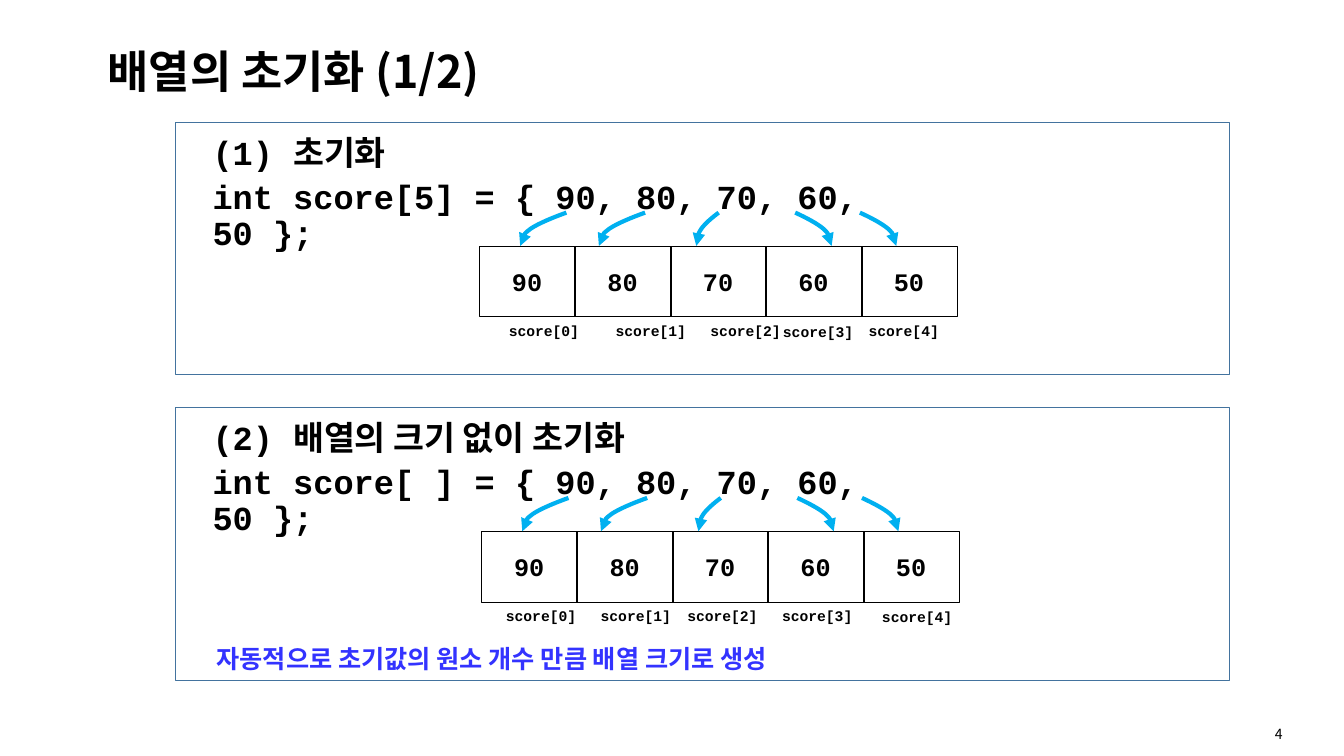
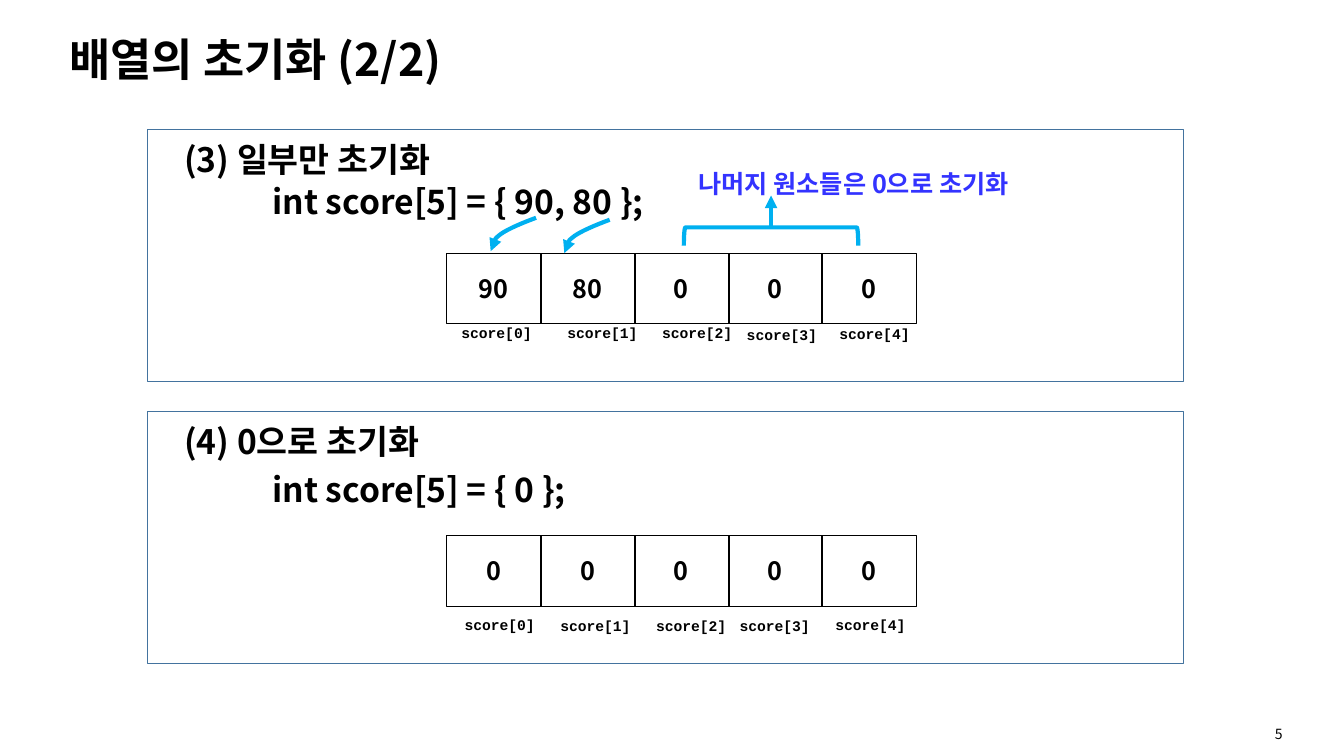
from lxml.etree import SubElement
from pptx import Presentation
from pptx.dml.color import RGBColor
from pptx.enum.shapes import MSO_CONNECTOR, MSO_SHAPE
from pptx.enum.text import MSO_ANCHOR, PP_ALIGN
from pptx.oxml.ns import qn
from pptx.util import Pt

BLACK, BLUE, CYAN, FRAME = "000000", "3333FF", "00B0F0", "43739E"
MONO, SANS, TITLE = "Courier New", "Noto Sans CJK KR", "Noto Sans CJK TC"

# Two Bezier segments of an arrow, as shares of its width and height
CURVE = [(0.3, 0.15), (0.61, 0.33), (0.77, 0.48),
         (0.94, 0.66), (0.97, 0.82), (1, 1)]
GRID_TOP, CELL_H = 88.6, 50.4
ARROW_H = 23.8

# Arrows: start x from the grid's left edge, width, start height above the grid
FIVE_ARROWS = [(62.6, -33, 23.8), (118.8, -33, 23.8), (171.4, -16, 23.8),
               (226, 26, 23.8), (272.2, 26, 23.8)]

# Panel offsets are relative to the panel, label offsets to the grid
SLIDES = [
    dict(number=4, title="배열의 초기화 (1/2)", title_at=(69.8, 27.4), font=MONO,
         left=125.3, width=752.4, code_x=19.4, step=68.2, cell_w=69, panels=[
             dict(top=87.1, height=180, head="(1) 초기화",
                  code="int score[5] = { 90, 80, 70, 60, 50 };", code_y=38.2,
                  grid_x=216.7, values=[90, 80, 70, 60, 50], arrows=FIVE_ARROWS,
                  label_x=[14.4, 90.7, 158.4, 210.2, 271.4],
                  label_y=[50.4, 50.4, 50.4, 51.1, 50.4]),
             dict(top=290.9, height=195.1, head="(2) 배열의 크기 없이 초기화",
                  code="int score[ ] = { 90, 80, 70, 60, 50 };", code_y=38.2,
                  grid_x=218.2, values=[90, 80, 70, 60, 50], arrows=FIVE_ARROWS,
                  label_x=[10.8, 78.5, 140.4, 208.1, 279.4],
                  label_y=[50.4, 50.4, 50.4, 50.4, 51.1],
                  note=("자동적으로 초기값의 원소 개수 만큼 배열 크기로 생성", 22.3, 167.8)),
         ]),
    dict(number=5, title="배열의 초기화 (2/2)", title_at=(42.5, 18.7), font=SANS,
         left=105.1, width=740.2, code_x=82.4, step=67, cell_w=67.7, panels=[
             dict(top=92.2, height=180, head="(3) 일부만 초기화",
                  code="int score[5] = { 90, 80 };", code_y=36.7,
                  grid_x=213.8, values=[90, 80, 0, 0, 0],
                  arrows=[(64, -32.4, 25.2), (116.6, -32.4, 23.8)],
                  label_x=[3.6, 79.2, 146.9, 207.4, 273.6],
                  label_y=[46.8, 46.8, 46.8, 48.2, 47.5],
                  note=("나머지 원소들은 0으로 초기화", 386.6, 26.6)),
             dict(top=293.8, height=180, head="(4) 0으로 초기화",
                  code="int score[5] = { 0 };", code_y=41,
                  grid_x=213.8, values=[0] * 5, arrows=[],
                  label_x=[5.8, 74.2, 142.6, 202.3, 270.7],
                  label_y=[54, 54.7, 54.7, 54.7, 54]),
         ]),
]


def write(sp, text, size, font, color=BLACK, bold=True, spacing=None,
          align=PP_ALIGN.LEFT, anchor=MSO_ANCHOR.TOP):
    tf = sp.text_frame
    tf.word_wrap = True
    tf.vertical_anchor = anchor
    tf.text = text
    p = tf.paragraphs[0]
    p.alignment = align
    p.line_spacing = spacing
    r = p.runs[0]
    r.font.size, r.font.name, r.font.bold = Pt(size), font, bold
    r.font.color.rgb = RGBColor.from_string(color)
    east_asian = SANS if font == MONO else font
    SubElement(r.font._element, qn("a:ea"), typeface=east_asian)


def outline(sp, color, width, arrow=False):
    sp.line.color.rgb = RGBColor.from_string(color)
    sp.line.width = Pt(width)
    if arrow:
        SubElement(sp.line._get_or_add_ln(), qn("a:tailEnd"), type="triangle")
    SubElement(sp.element.spPr, qn("a:effectLst"))


prs = Presentation()
prs.slide_width, prs.slide_height = Pt(960), Pt(540)

for page in SLIDES:
    s = prs.slides.add_slide(prs.slide_layouts[6])
    shapes = s.shapes
    left, font = page["left"], page["font"]

    # Title and page number
    x, y = page["title_at"]
    sp = shapes.add_textbox(Pt(x), Pt(y), Pt(620.6), Pt(51.1))
    write(sp, page["title"], 32, TITLE, spacing=0.9, anchor=MSO_ANCHOR.MIDDLE)
    sp = shapes.add_textbox(Pt(877), Pt(515.5), Pt(72.7), Pt(18))
    write(sp, str(page["number"]), 10, SANS, bold=False,
          align=PP_ALIGN.CENTER, anchor=MSO_ANCHOR.MIDDLE)

    for panel in page["panels"]:
        top = panel["top"]
        grid_x, grid_y = left + panel["grid_x"], top + GRID_TOP

        # Frame
        sp = shapes.add_shape(MSO_SHAPE.RECTANGLE, Pt(left), Pt(top),
                              Pt(page["width"]), Pt(panel["height"]))
        sp.fill.background()
        outline(sp, FRAME, 0.25)

        # Array cells with index labels
        for i, value in enumerate(panel["values"]):
            sp = shapes.add_shape(MSO_SHAPE.RECTANGLE,
                                  Pt(grid_x + i * page["step"]), Pt(grid_y),
                                  Pt(page["cell_w"]), Pt(CELL_H))
            sp.fill.background()
            outline(sp, BLACK, 0.25)
            write(sp, str(value), 18, font, align=PP_ALIGN.CENTER,
                  anchor=MSO_ANCHOR.MIDDLE)
            sp = shapes.add_textbox(Pt(grid_x + panel["label_x"][i]),
                                    Pt(grid_y + panel["label_y"][i]),
                                    Pt(66.2), Pt(20.2))
            write(sp, f"score[{i}]", 10.5, MONO)

        # Curved arrows from the initial values to the cells
        for dx, width, lift in panel["arrows"]:
            x, y = grid_x + dx, grid_y - lift
            builder = shapes.build_freeform(Pt(x), Pt(y))
            builder.add_line_segments(
                [(Pt(x + u * width), Pt(y + v * ARROW_H)) for u, v in CURVE],
                close=False)
            sp = builder.convert_to_shape()
            lines = list(sp.element.iter(qn("a:lnTo")))
            outline_xml = lines[0].getparent()
            for start in (0, 3):
                bezier = SubElement(outline_xml, qn("a:cubicBezTo"))
                for line in lines[start:start + 3]:
                    bezier.append(line[0])
                    outline_xml.remove(line)
            sp.fill.background()
            outline(sp, CYAN, 3, arrow=True)

        # Code line, heading and note
        sp = shapes.add_textbox(Pt(left + page["code_x"]),
                                Pt(top + panel["code_y"]), Pt(553), Pt(33.8))
        write(sp, panel["code"], 24, font, spacing=0.9)
        sp = shapes.add_textbox(Pt(left + 19.4), Pt(top + 6.5), Pt(400), Pt(33.8))
        write(sp, panel["head"], 24, font, spacing=0.9)
        if "note" in panel:
            text, dx, dy = panel["note"]
            sp = shapes.add_textbox(Pt(left + dx), Pt(top + dy), Pt(450), Pt(23))
            write(sp, text, 18, font, BLUE, spacing=0.9)

# Bracket over the cells that are filled with zero, on the last slide
sp = shapes.add_shape(MSO_SHAPE.RIGHT_BRACKET, Pt(544.3), Pt(106.6), Pt(13), Pt(124.6))
sp.rotation = 270
sp.fill.background()
outline(sp, CYAN, 3)
sp = shapes.add_connector(MSO_CONNECTOR.STRAIGHT, Pt(550.8), Pt(162), Pt(550.8), Pt(139.7))
outline(sp, CYAN, 3, arrow=True)

prs.save("out.pptx")
